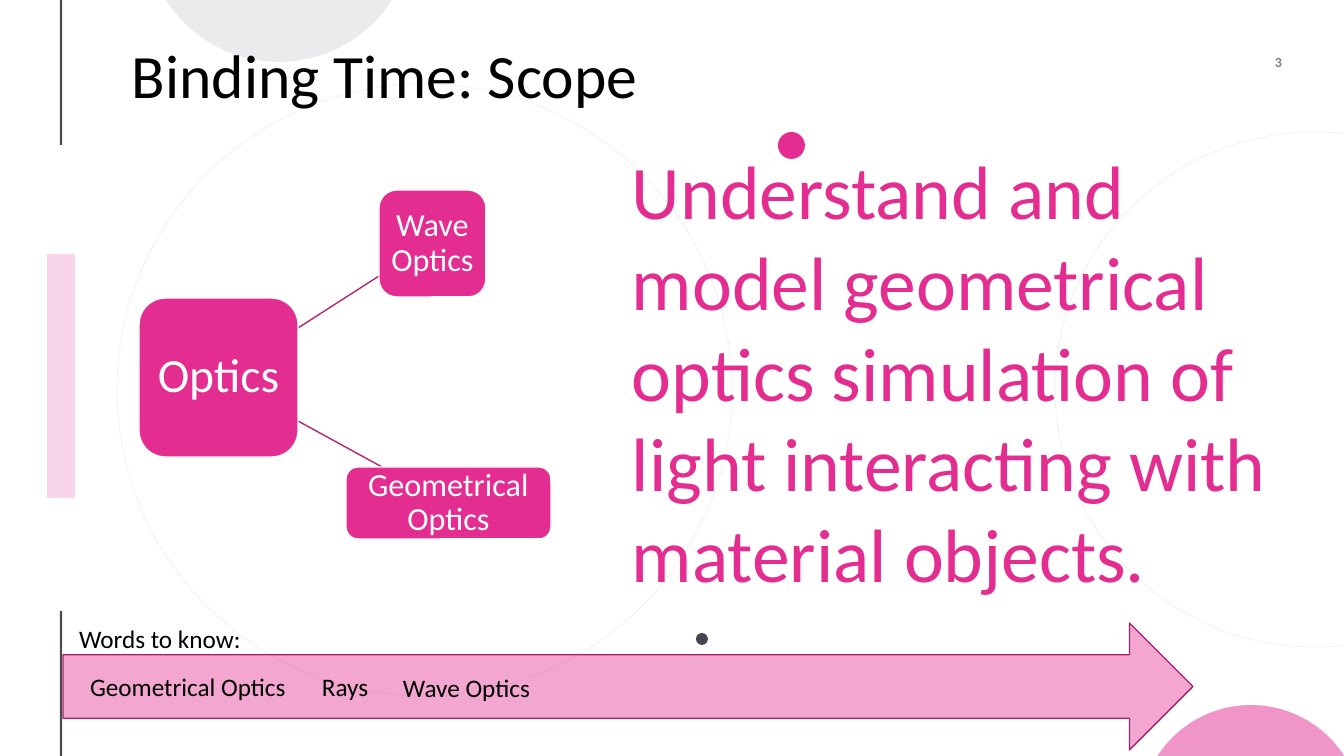
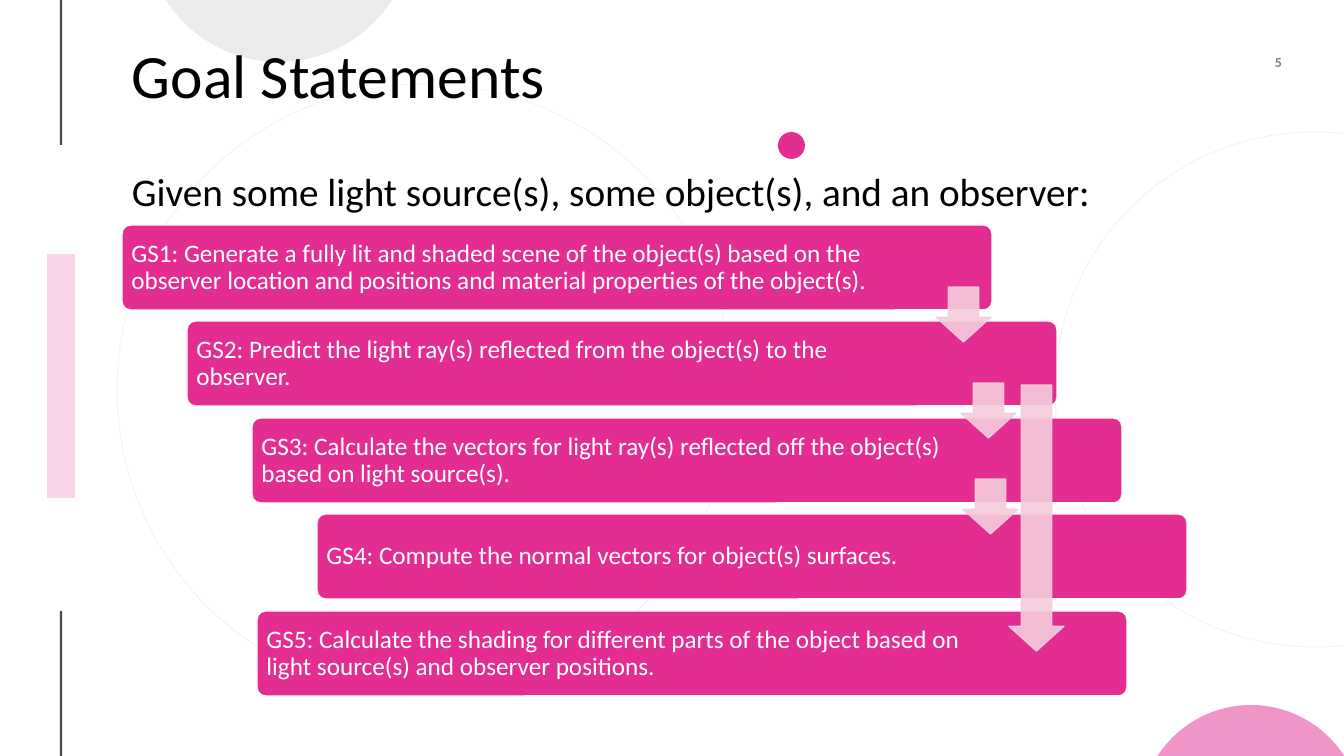
"""Build two slides on the scope and the goals of an optics simulation."""
from dataclasses import dataclass
from math import acos, cos, pi, sin
from typing import NamedTuple, Optional

from lxml.etree import SubElement
from pptx import Presentation
from pptx.dml.color import RGBColor
from pptx.enum.dml import MSO_LINE
from pptx.enum.shapes import MSO_CONNECTOR, MSO_SHAPE
from pptx.enum.text import MSO_ANCHOR, MSO_AUTO_SIZE, PP_ALIGN
from pptx.oxml.ns import qn
from pptx.util import Emu, Pt

WIDTH, HEIGHT = 1344, 756
SCALE = 12192000 / WIDTH
FONT = "Calibri"
COLOURS = {
    "ink": "000000",
    "paper": "FFFFFF",
    "pink": "E32D91",
    "pale": "F9D5E9",
    "grey": "D8D9DC",
    "slate": "454551",
    "link": "B62474",
    "edge": "A8216B",
    "arrow": "F4CDDC",
}


class Area(NamedTuple):
    left: int
    top: int
    width: int
    height: int


class Insets(NamedTuple):
    left: int = 10
    top: int = 5
    right: int = 10
    bottom: int = 5


class Stroke(NamedTuple):
    colour: str
    points: float = 1
    opacity: int = 100
    dash: Optional[MSO_LINE] = None


@dataclass(frozen=True)
class Figure:
    kind: MSO_SHAPE
    area: Area
    fill: Optional[str] = None
    opacity: int = 100
    stroke: Optional[Stroke] = None
    adjustments: tuple[float, ...] = ()


@dataclass(frozen=True)
class Writing:
    text: str
    size: int
    colour: str = "ink"
    bold: bool = False
    opacity: int = 100
    align: PP_ALIGN = PP_ALIGN.LEFT
    anchor: MSO_ANCHOR = MSO_ANCHOR.TOP
    spacing: float = 1.0
    before: int = 0
    insets: Insets = Insets()
    wrap: bool = True


@dataclass(frozen=True)
class Node:
    text: str
    area: Area
    size: int
    inset: int


@dataclass(frozen=True)
class Label:
    text: str
    area: Area


@dataclass(frozen=True)
class Goal:
    text: str
    left: int
    right_inset: int = 128


WHITE_EDGE = Stroke("paper")
FAINT_DOTS = Stroke("ink", 0.5, 10, MSO_LINE.ROUND_DOT)
ARROW_EDGE = Stroke("arrow", 1, 90)
BACKDROP = (
    Figure(MSO_SHAPE.OVAL, Area(1055, 132, 518, 515), stroke=FAINT_DOTS),
    Figure(MSO_SHAPE.OVAL, Area(117, 84, 615, 612), stroke=FAINT_DOTS),
    Figure(MSO_SHAPE.OVAL, Area(778, 132, 27, 27), "pink"),
    Figure(MSO_SHAPE.RECTANGLE, Area(46, 253, 30, 246), "pale", stroke=WHITE_EDGE),
)
NODES = (
    Node("Optics", Area(139, 298, 159, 159), 34, 9),
    Node("Geometrical Optics", Area(346, 467, 205, 72), 23, 6),
    Node("Wave Optics", Area(379, 190, 107, 107), 23, 6),
)
BRANCHES = ((298, 421, 382, 467), (298, 328, 379, 276))
LABELS = (
    Label("Words to know:", Area(69, 618, 183, 40)),
    Label("Geometrical Optics", Area(80, 666, 218, 40)),
    Label("Rays", Area(312, 666, 67, 40)),
    Label("Wave Optics", Area(393, 667, 149, 40)),
)
GOALS = (
    Goal("GS1: Generate a fully lit and shaded scene of the object(s) based on the "
         "observer location and positions and material properties of the object(s).",
         122, 103),
    Goal("GS2: Predict the light ray(s) reflected from the object(s) to the observer.", 187),
    Goal("GS3: Calculate the vectors for light ray(s) reflected off the object(s) "
         "based on light source(s).", 252),
    Goal("GS4: Compute the normal vectors for object(s) surfaces.", 317),
    Goal("GS5: Calculate the shading for different parts of the object based on "
         "light source(s) and observer positions.", 257),
)
GOAL_ARROWS = (
    Area(936, 287, 55, 55),
    Area(961, 383, 55, 55),
    Area(963, 479, 55, 55),
    Area(1009, 385, 55, 266),
)


def emu(pixels: float) -> Emu:
    """Turn pixels into EMU."""
    return Emu(round(pixels * SCALE))


def rgb(name: str) -> RGBColor:
    """Look up a named colour."""
    return RGBColor.from_string(COLOURS[name])


def fade(element, opacity: int) -> None:
    """Set the opacity of every colour inside an element."""
    if opacity < 100:
        for colour in element.iter(qn("a:srgbClr")):
            SubElement(colour, qn("a:alpha"), val=str(opacity * 1000))


def draw_stroke(shape, stroke: Optional[Stroke]) -> None:
    """Outline a shape or connector, or remove its outline."""
    if stroke is None:
        shape.line.fill.background()
        return
    shape.line.color.rgb = rgb(stroke.colour)
    shape.line.width = Pt(stroke.points)
    if stroke.dash is not None:
        shape.line.dash_style = stroke.dash
    fade(shape.element.spPr.find(qn("a:ln")), stroke.opacity)


def paint(shape, fill: Optional[str], opacity: int, stroke: Optional[Stroke]) -> None:
    """Give a shape its fill and outline, without a shadow."""
    shape.shadow.inherit = False
    if fill is None:
        shape.fill.background()
    else:
        shape.fill.solid()
        shape.fill.fore_color.rgb = rgb(fill)
        fade(shape.element.spPr.find(qn("a:solidFill")), opacity)
    draw_stroke(shape, stroke)


def draw_figure(page, figure: Figure):
    """Draw a preset shape."""
    shape = page.shapes.add_shape(figure.kind, *map(emu, figure.area))
    for index, value in enumerate(figure.adjustments):
        shape.adjustments[index] = value
    paint(shape, figure.fill, figure.opacity, figure.stroke)
    return shape


def draw_line(page, ends: tuple[int, int, int, int], stroke: Stroke) -> None:
    """Draw a straight connector."""
    line = page.shapes.add_connector(MSO_CONNECTOR.STRAIGHT, *map(emu, ends))
    draw_stroke(line, stroke)
    SubElement(line.element.spPr, qn("a:effectLst"))


def draw_cap(page, centre: tuple[int, int], radius: int, edge: int, fill: str) -> None:
    """Draw the part of a circle that shows past a horizontal slide edge."""
    x, y = centre
    half = acos(abs(edge - y) / radius)
    middle = pi / 2 if edge > y else -pi / 2
    steps = 48
    angles = [middle - half + 2 * half * step / steps for step in range(steps + 1)]
    points = [(emu(x + radius * cos(a)), emu(y + radius * sin(a))) for a in angles]
    builder = page.shapes.build_freeform(*points[0], scale=1.0)
    builder.add_line_segments(points[1:], close=True)
    paint(builder.convert_to_shape(), fill, 50, None)


def write(box, writing: Writing) -> None:
    """Fill a box with one formatted paragraph."""
    frame = box.text_frame
    frame.text = writing.text
    frame.word_wrap = writing.wrap
    frame.auto_size = MSO_AUTO_SIZE.NONE if writing.wrap else MSO_AUTO_SIZE.SHAPE_TO_FIT_TEXT
    frame.vertical_anchor = writing.anchor
    (frame.margin_left, frame.margin_top,
     frame.margin_right, frame.margin_bottom) = map(emu, writing.insets)
    para = frame.paragraphs[0]
    para.alignment = writing.align
    para.line_spacing = writing.spacing
    para.space_before = Pt(writing.before)
    for span in para.runs:
        span.font.name = FONT
        span.font.size = Pt(writing.size)
        span.font.bold = writing.bold
        span.font.color.rgb = rgb(writing.colour)
    fade(para.runs[0].font.fill and box.element.txBody, writing.opacity)


def draw_text(page, area: Area, writing: Writing) -> None:
    """Add a text box."""
    write(page.shapes.add_textbox(*map(emu, area)), writing)


def add_page(deck, title: str, number: int):
    """Add a slide with the shared backdrop, title and number."""
    page = deck.slides.add_slide(deck.slide_layouts[6])
    for top, bottom in ((0, 145), (611, HEIGHT)):
        draw_line(page, (61, top, 61, bottom), Stroke("ink", 1.5, 70))
    for figure in BACKDROP:
        draw_figure(page, figure)
    draw_cap(page, (1251, 816), 111, HEIGHT, "pink")
    draw_cap(page, (279, -72), 134, 0, "grey")
    draw_text(page, Area(1204, 48, 78, 27), Writing(
        str(number), 10, bold=True, opacity=50, align=PP_ALIGN.RIGHT,
        anchor=MSO_ANCHOR.MIDDLE, insets=Insets(0, 0, 0, 0)))
    draw_text(page, Area(122, 40, 1130, 78), Writing(
        title, 44, anchor=MSO_ANCHOR.MIDDLE, spacing=0.9))
    return page


def build_scope(deck) -> None:
    """Build the scope slide."""
    page = add_page(deck, "Binding Time: Scope", 3)
    draw_figure(page, Figure(MSO_SHAPE.OVAL, Area(696, 633, 12, 12), "slate"))
    for ends in BRANCHES:
        draw_line(page, ends, Stroke("link"))
    for node in NODES:
        box = draw_figure(page, Figure(
            MSO_SHAPE.ROUNDED_RECTANGLE, node.area, "pink", stroke=WHITE_EDGE))
        write(box, Writing(
            node.text, node.size, "paper", align=PP_ALIGN.CENTER,
            anchor=MSO_ANCHOR.MIDDLE, spacing=0.9, insets=Insets(*[node.inset] * 4)))
    draw_figure(page, Figure(
        MSO_SHAPE.RIGHT_ARROW, Area(63, 623, 1130, 127), "pink", 42, Stroke("edge")))
    for label in LABELS:
        draw_text(page, label.area, Writing(label.text, 18, wrap=False))
    draw_text(page, Area(622, 139, 671, 468), Writing(
        "Understand and model geometrical optics simulation of light "
        "interacting with material objects.", 54, "pink"))


def build_goals(deck) -> None:
    """Build the goal statements slide."""
    page = add_page(deck, "Goal Statements", 5)
    draw_text(page, Area(122, 168, 1130, 78), Writing(
        "Given some light source(s), some object(s), and an observer:", 28,
        spacing=0.9, before=10))
    for index, goal in enumerate(GOALS):
        area = Area(goal.left, 225 + 193 * index // 2, 870, 85)
        box = draw_figure(page, Figure(
            MSO_SHAPE.ROUNDED_RECTANGLE, area, "pink", stroke=WHITE_EDGE, adjustments=(0.1,)))
        write(box, Writing(
            goal.text, 18, "paper", anchor=MSO_ANCHOR.MIDDLE, spacing=0.9,
            insets=Insets(7, 7, goal.right_inset, 7)))
    for area in GOAL_ARROWS:
        draw_figure(page, Figure(
            MSO_SHAPE.DOWN_ARROW, area, "arrow", 90, ARROW_EDGE, (0.55, 0.45)))


def main() -> None:
    """Build and save the deck."""
    deck = Presentation()
    deck.slide_width, deck.slide_height = emu(WIDTH), emu(HEIGHT)
    build_scope(deck)
    build_goals(deck)
    deck.save("out.pptx")


main()
